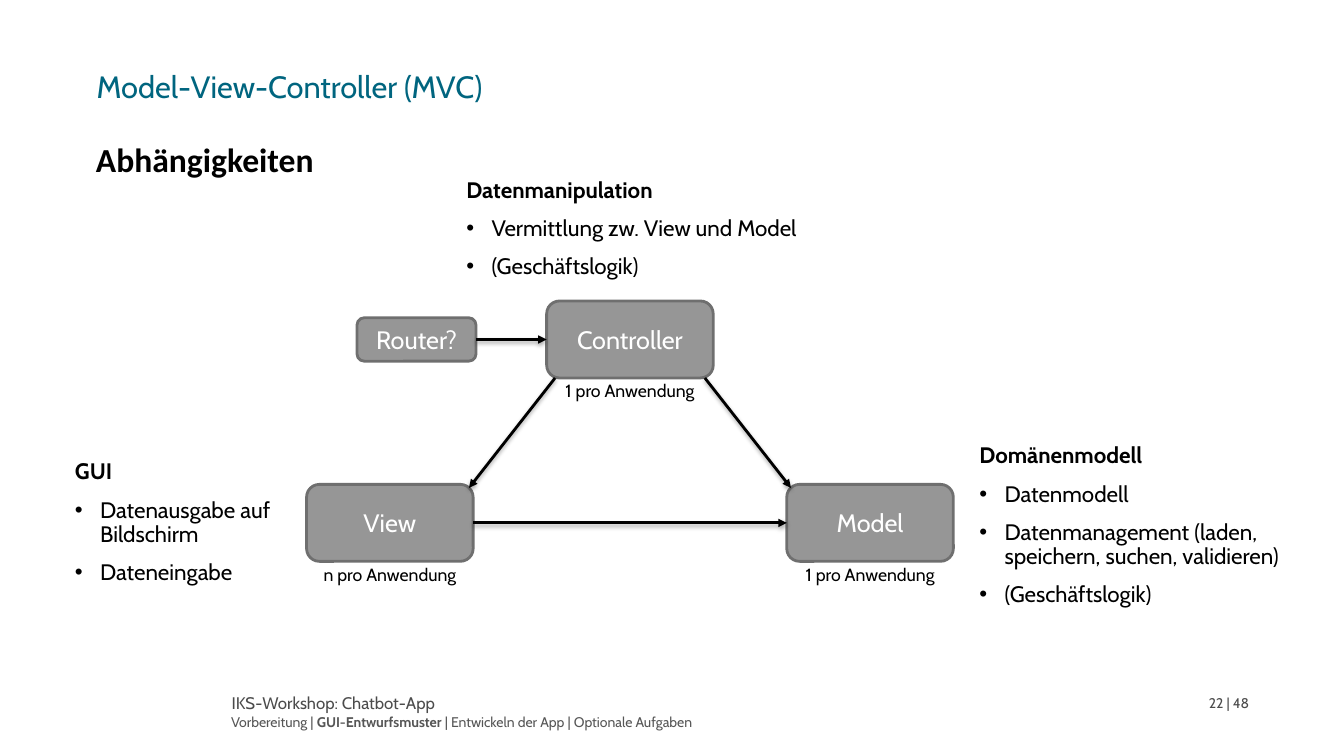
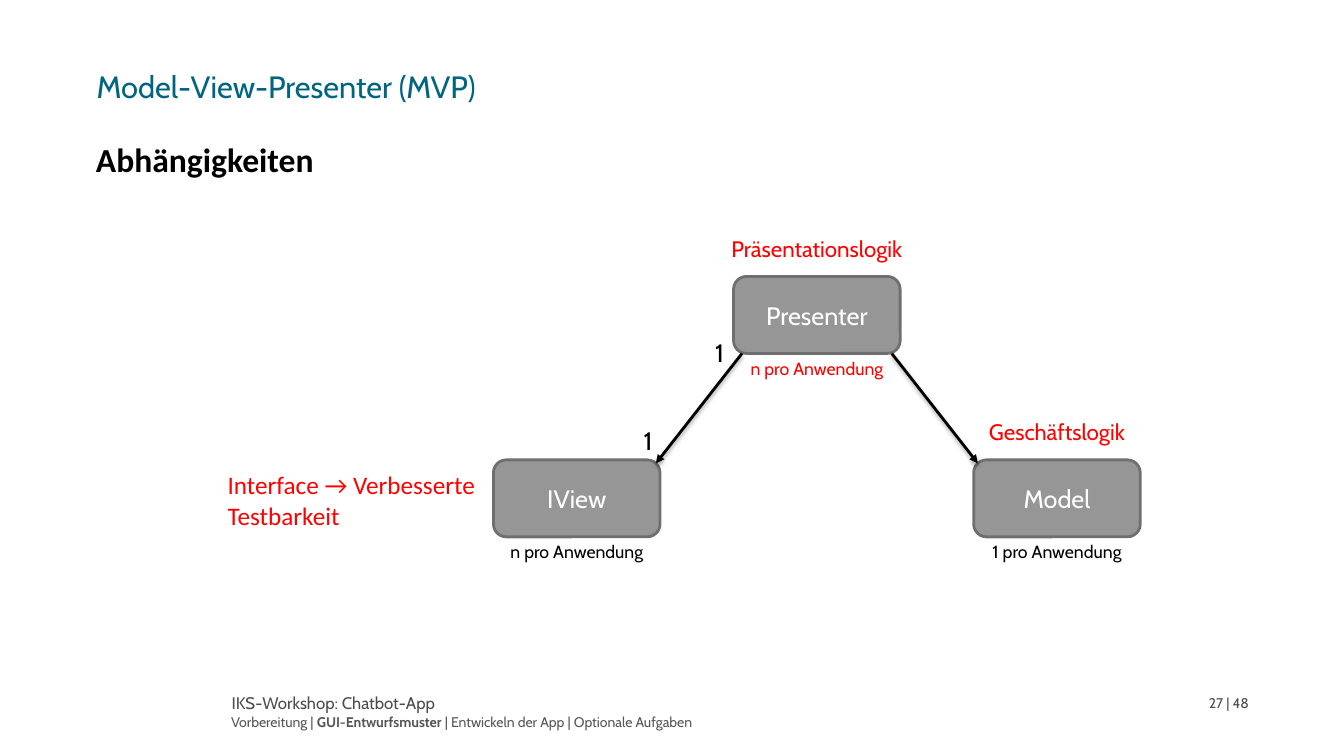
from lxml import etree
from pptx import Presentation
from pptx.dml.color import RGBColor
from pptx.enum.shapes import MSO_CONNECTOR, MSO_SHAPE
from pptx.enum.text import MSO_ANCHOR, PP_ALIGN
from pptx.oxml.ns import qn
from pptx.util import Pt

ROUND = MSO_SHAPE.ROUNDED_RECTANGLE
STRAIGHT = MSO_CONNECTOR.STRAIGHT
LEFT, CENTER = PP_ALIGN.LEFT, PP_ALIGN.CENTER
TOP, MIDDLE = MSO_ANCHOR.TOP, MSO_ANCHOR.MIDDLE
RIGHT_SIDE, LEFT_SIDE = 3, 1

BLACK, WHITE, RED = "000000", "FFFFFF", "FF0000"
TEAL, FOOTER, NAV = "00657F", "4B4B4B", "565656"
BOX_FILL, BOX_LINE = "969696", "6F6F6F"
BODY_FONT, ALT_FONT = "Cabin", "Calibri"
BOX_W, BOX_H = 119, 55
STEP_X, STEP_Y = 171.5, 131
TOTAL = 48


def rgb(value):
    return RGBColor.from_string(value)


def pts(*values):
    return [Pt(v) for v in values]


def sub(parent, tag, **attrs):
    el = etree.SubElement(parent, qn(tag))
    for key, value in attrs.items():
        el.set(key, str(value))
    return el


class Deck:
    def __init__(self):
        self.prs = Presentation()
        self.prs.slide_width, self.prs.slide_height = pts(960, 540)
        self.s = None

    def slide(self, title, number):
        self.s = self.prs.slides.add_slide(self.prs.slide_layouts[6])
        self.text((62, 44.6, 689, 31), [title], size=22, color=TEAL)
        self.text((61.5, 95.8, 180, 36), ["Abhängigkeiten"], size=24,
                  name=ALT_FONT, bold=True)
        self.text((165.5, 492, 595, 19), ["IKS-Workshop: Chatbot-App"],
                  margins=(0, 0), spacing=1.2, size=12, color=FOOTER)
        nav = [("Vorbereitung | ", False), ("GUI-Entwurfsmuster", True),
               (" | Entwickeln der App | Optionale Aufgaben", False)]
        self.text((165, 506, 392, 19.5), [nav], margins=(0, 3.6), size=10, color=NAV)
        self.text((863.5, 496, 45, 12), [f"{number} | {TOTAL}"],
                  margins=(0, 0), size=10, color=FOOTER)

    def fill_text(self, shape, paras, align=LEFT, anchor=TOP, margins=(7.2, 3.6),
                  spacing=None, bullets=False, color=BLACK, **fmt):
        tf = shape.text_frame
        mx, my = pts(*margins)
        frame = dict(word_wrap=True, vertical_anchor=anchor, margin_left=mx,
                     margin_right=mx, margin_top=my, margin_bottom=my)
        for key, value in frame.items():
            setattr(tf, key, value)
        font = {"name": BODY_FONT, "bold": False, **fmt}
        font["size"] = Pt(font["size"])
        for i, para in enumerate(paras):
            p = tf.add_paragraph() if i else tf.paragraphs[0]
            if bullets and i:
                self.bullet(p)
            p.alignment = align
            if spacing:
                p.line_spacing = spacing
            if i:
                p.space_before = Pt(10)
            runs = [(para, font["bold"])] if isinstance(para, str) else para
            for words, bold in runs:
                r = p.add_run()
                r.text = words
                for key, value in {**font, "bold": bold}.items():
                    setattr(r.font, key, value)
                r.font.color.rgb = rgb(color)

    def bullet(self, p):
        pPr = p._p.get_or_add_pPr()
        pPr.set("marL", str(Pt(18)))
        pPr.set("indent", str(Pt(-18)))
        sub(pPr, "a:buFont", typeface="Arial")
        sub(pPr, "a:buChar", char="•")

    def text(self, box, paras, **style):
        self.fill_text(self.s.shapes.add_textbox(*pts(*box)), paras, **style)

    def bullet_list(self, box, heading, items):
        self.text(box, [[(heading, True)], *items], bullets=True, spacing=0.9, size=16)

    def box(self, x, y, label, w=BOX_W, h=BOX_H):
        sp = self.s.shapes.add_shape(ROUND, *pts(x, y, w, h))
        sp.shadow.inherit = False
        sp.fill.solid()
        sp.fill.fore_color.rgb = rgb(BOX_FILL)
        sp.line.color.rgb = rgb(BOX_LINE)
        sp.line.width = Pt(2)
        self.fill_text(sp, [label], align=CENTER, anchor=MIDDLE, size=18, color=WHITE)
        return sp

    def caption(self, x, y, words, color=BLACK):
        self.text((x, y, BOX_W, 29), [words], align=CENTER, spacing=0.7,
                  size=12.6, color=color)

    def heading_above(self, x, y, words):
        self.text((x - 22, y - 31, BOX_W + 44, 24), [words], align=CENTER,
                  spacing=0.9, size=16, color=RED)

    def multiplicity(self, x, y):
        self.text((x, y, 33, 29), ["1"], align=CENTER, spacing=0.9, size=18)

    def arrow(self, x1, y1, x2, y2):
        c = self.s.shapes.add_connector(STRAIGHT, *pts(x1, y1, x2, y2))
        c.line.color.rgb = rgb(BLACK)
        c.line.width = Pt(2)
        sub(c.line._get_or_add_ln(), "a:tailEnd", type="triangle")
        effects = sub(c._element.spPr, "a:effectLst")
        shadow = sub(effects, "a:outerShdw", blurRad=Pt(3.1), dist=Pt(1.8),
                     dir=5400000, rotWithShape=0)
        sub(sub(shadow, "a:srgbClr", val=BLACK), "a:alpha", val=35000)
        return c

    def join(self, start, end):
        c = self.arrow(0, 0, 0, 0)
        c.begin_connect(start, RIGHT_SIDE)
        c.end_connect(end, LEFT_SIDE)

    def triad(self, x, y, nodes, gap):
        places = [(x, y), (x - STEP_X, y + STEP_Y), (x + STEP_X, y + STEP_Y)]
        boxes = []
        for (bx, by), (label, count, color) in zip(places, nodes):
            boxes.append(self.box(bx, by, label))
            self.caption(bx, by + BOX_H + gap, count, color)
        mid = x + BOX_W / 2
        for side in (-1, 1):
            start = mid + side * (BOX_W / 2 - 6)
            end = mid + side * (STEP_X - BOX_W / 2 + 3)
            self.arrow(start, y + BOX_H, end, y + STEP_Y + 2.5)
        return places, boxes


def mvc(deck):
    deck.slide("Model-View-Controller (MVC)", 22)
    nodes = [("Controller", "1 pro Anwendung", BLACK),
             ("View", "n pro Anwendung", BLACK),
             ("Model", "1 pro Anwendung", BLACK)]
    _, (controller, view, model) = deck.triad(390.5, 215, nodes, 2)
    router = deck.box(255, 227, "Router?", 85, 31)
    deck.join(view, model)
    deck.join(router, controller)
    deck.bullet_list((326, 124.5, 267, 80), "Datenmanipulation",
                     ["Vermittlung zw. View und Model", "(Geschäftslogik)"])
    deck.bullet_list((692.5, 314, 255, 125), "Domänenmodell",
                     ["Datenmodell",
                      "Datenmanagement (laden, speichern, suchen, validieren)",
                      "(Geschäftslogik)"])
    deck.bullet_list((46.5, 325.5, 172, 97), "GUI",
                     ["Datenausgabe auf Bildschirm", "Dateneingabe"])


def mvp(deck):
    deck.slide("Model-View-Presenter (MVP)", 27)
    nodes = [("Presenter", "n pro Anwendung", RED),
             ("IView", "n pro Anwendung", BLACK),
             ("Model", "1 pro Anwendung", BLACK)]
    (presenter, _, model), _ = deck.triad(524, 197.5, nodes, 3.5)
    deck.heading_above(*presenter, "Präsentationslogik")
    deck.heading_above(*model, "Geschäftslogik")
    deck.multiplicity(497.5, 240)
    deck.multiplicity(446.5, 302.5)
    deck.text((155.5, 332, 191.5, 51), ["Interface → Verbesserte Testbarkeit"],
              size=18, name=ALT_FONT, color=RED)


def main():
    deck = Deck()
    mvc(deck)
    mvp(deck)
    deck.prs.save("out.pptx")


if __name__ == "__main__":
    main()
